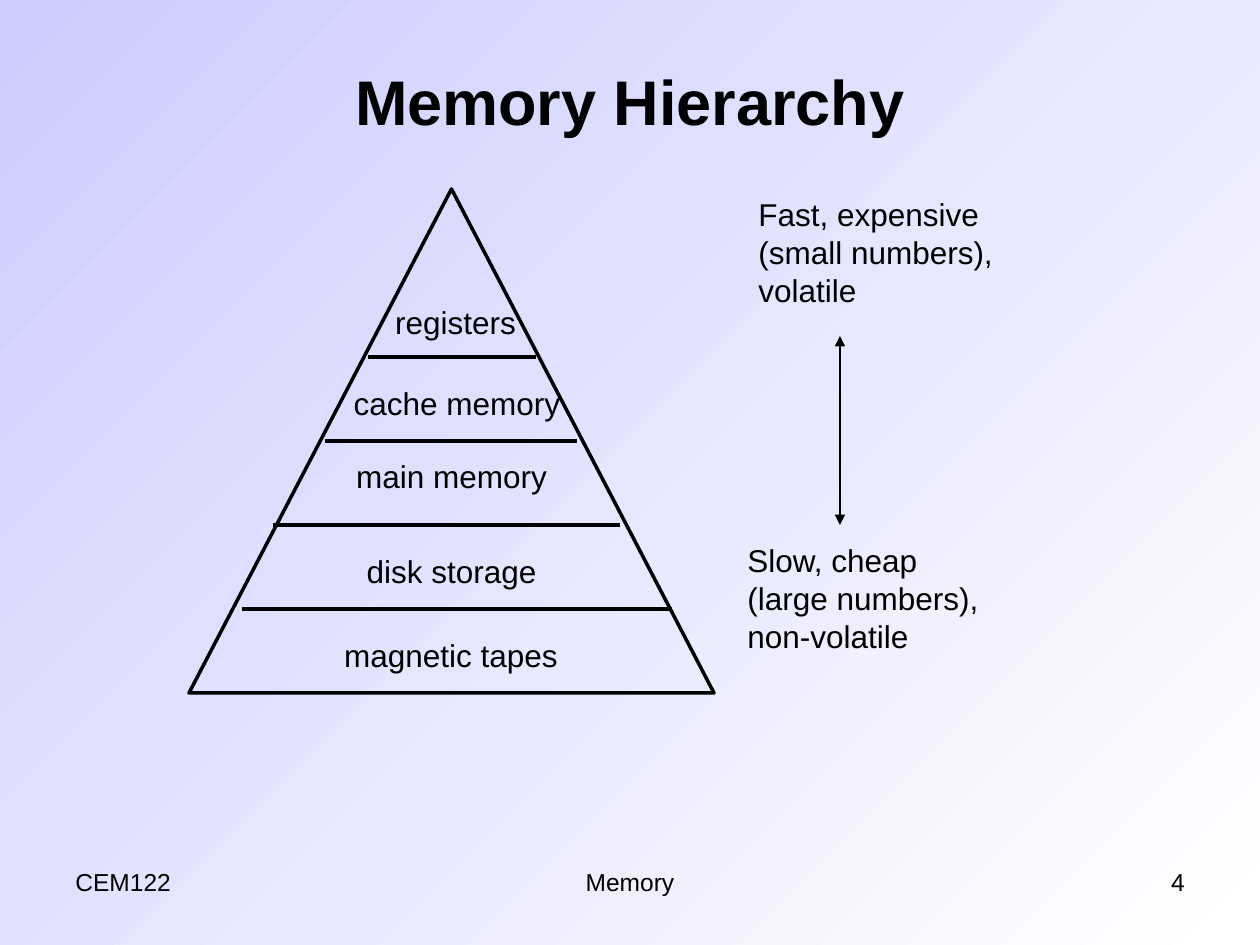
from lxml import etree
from pptx import Presentation
from pptx.dml.color import RGBColor
from pptx.enum.shapes import MSO_CONNECTOR, MSO_SHAPE
from pptx.enum.text import MSO_ANCHOR, PP_ALIGN
from pptx.oxml.ns import qn
from pptx.util import Pt

LEFT, MID, RIGHT = PP_ALIGN.LEFT, PP_ALIGN.CENTER, PP_ALIGN.RIGHT
TOP, CENTRE = MSO_ANCHOR.TOP, MSO_ANCHOR.MIDDLE
LINE, CONE = MSO_CONNECTOR.STRAIGHT, MSO_SHAPE.ISOSCELES_TRIANGLE
BLACK = RGBColor(0, 0, 0)
LILAC = RGBColor(0xCC, 0xCC, 0xFF)
WHITE = RGBColor(0xFF, 0xFF, 0xFF)
FONT = "Arial"
WIDE, HIGH = 1260, 945

# Label, left, top and width within the pyramid, top tier first
TIERS = [
    ("registers", 193, 108, 147),
    ("cache memory", 147, 189, 242),
    ("main memory", 147, 262, 231),
    ("disk storage", 147, 357, 231),
    ("magnetic tapes", 136, 441, 252),
]
# Left and right end of each bar between tiers
BARS = [(179, 347), (136, 388), (84, 431), (53, 483)]


def px(n):
    return round(n * 914400 / 126)


def text(shapes, words, x, y, w, h, size=18, bold=False, align=LEFT,
         anchor=TOP, wrap=True):
    box = shapes.add_textbox(px(x), px(y), px(w), px(h))
    frame = box.text_frame
    frame.word_wrap = wrap
    frame.vertical_anchor = anchor
    para = frame.paragraphs[0]
    para.text = words
    para.alignment = align
    font = para.font
    font.name, font.size, font.bold = FONT, Pt(size), bold
    font.color.rgb = BLACK


def rule(shapes, x1, y1, x2, y2, width=2, heads=False):
    line = shapes.add_connector(LINE, px(x1), px(y1), px(x2), px(y2))
    line.line.color.rgb = BLACK
    line.line.width = Pt(width)
    props = line.element.spPr
    if heads:
        ln = props.find(qn("a:ln"))
        for tag in ("a:headEnd", "a:tailEnd"):
            etree.SubElement(ln, qn(tag), type="triangle")
    etree.SubElement(props, qn("a:effectLst"))


def backdrop(slide):
    fill = slide.background.fill
    fill.gradient()
    fill.gradient_angle = 315
    for stop, color in zip(fill.gradient_stops, (LILAC, WHITE)):
        stop.color.rgb = color


def pyramid(slide, x, y, w, h):
    shapes = slide.shapes.add_group_shape().shapes
    cone = shapes.add_shape(CONE, px(x), px(y), px(w), px(h))
    cone.shadow.inherit = False
    cone.fill.background()
    cone.line.color.rgb = BLACK
    cone.line.width = Pt(2)
    for i, (start, end) in enumerate(BARS):
        level = y + h * (i + 2) // 6
        rule(shapes, x + start, level, x + end, level)
    for words, left, top, width in TIERS:
        text(shapes, words, x + left, y + top, width, 50, align=MID,
             wrap=False)


def scale(slide, x, y, w, h):
    """Place the two notes and the arrow between them."""
    shapes = slide.shapes
    text(shapes, "Fast, expensive (small numbers), volatile",
         x + 11, y, w - 11, 126)
    text(shapes, "Slow, cheap (large numbers), non-volatile",
         x, y + h - 126, w - 11, 126)
    rule(shapes, x + 105, y + 147, x + 105, y + 336, width=1, heads=True)


def footer(slide, x, y, w, h):
    shapes = slide.shapes
    text(shapes, "CEM122", x, y, 294, h, size=14)
    text(shapes, "Memory", x + (w - 400) / 2, y, 400, h, size=14, align=MID)
    text(shapes, "4", x + w - 294, y, 294, h, size=14, align=RIGHT)


def main():
    deck = Presentation()
    deck.slide_width, deck.slide_height = px(WIDE), px(HIGH)
    slide = deck.slides.add_slide(deck.slide_layouts[6])
    backdrop(slide)
    text(slide.shapes, "Memory Hierarchy", 94, 21, 1072, 158, size=36,
         bold=True, align=MID, anchor=CENTRE)
    pyramid(slide, 189, 189, 525, 504)
    scale(slide, 735, 189, 284, 472)
    footer(slide, 63, 861, 1134, 65)
    deck.save("out.pptx")


if __name__ == "__main__":
    main()
